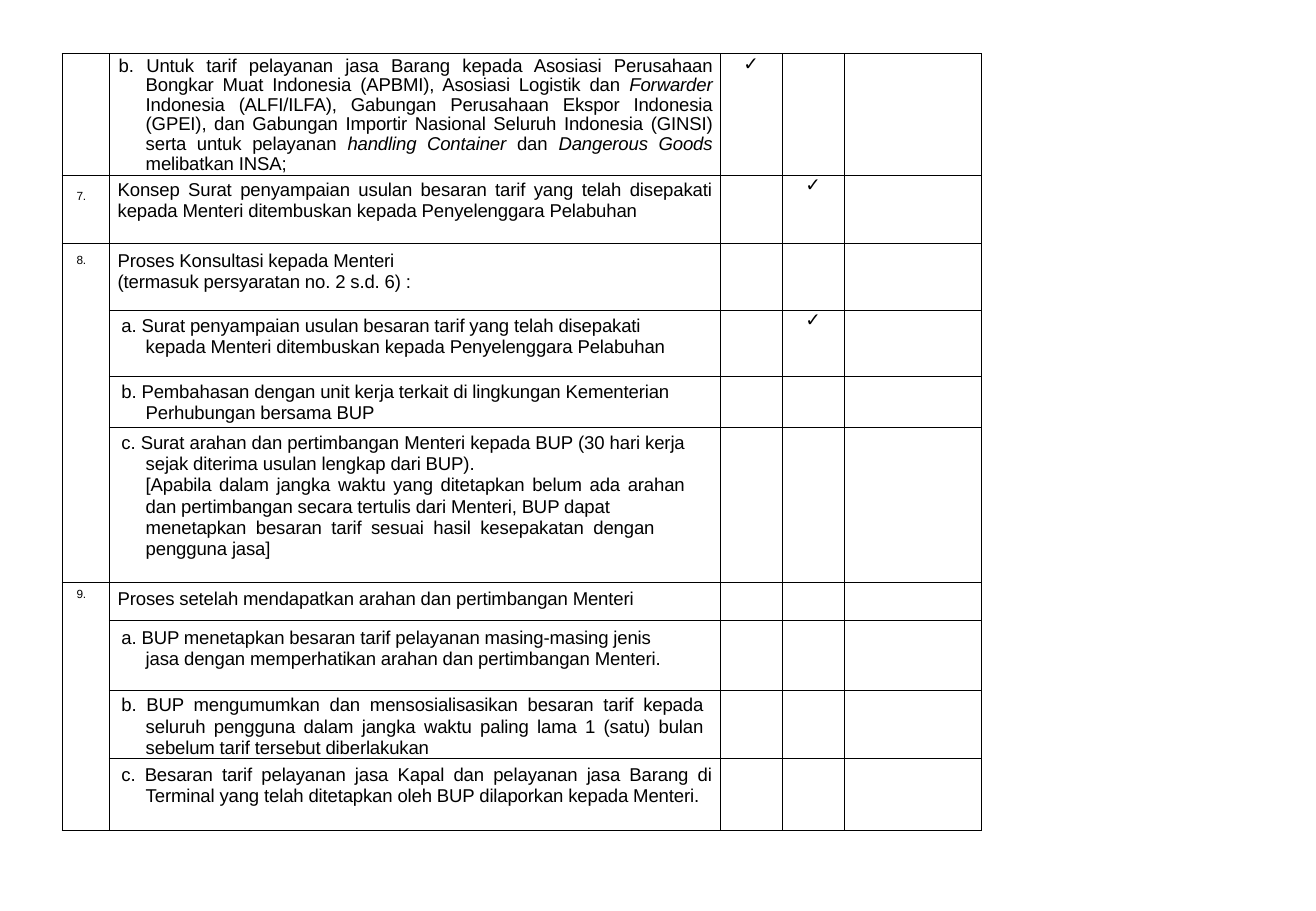
"""Build a slide with a table of steps for setting port tariffs."""
from lxml import etree
from pptx import Presentation
from pptx.dml.color import RGBColor
from pptx.enum import text as tx
from pptx.oxml import ns
from pptx.util import Pt

LEFT, JUST, MID = tx.PP_ALIGN.LEFT, tx.PP_ALIGN.JUSTIFY, tx.PP_ALIGN.CENTER
COLS = [28, 362.2, 36.7, 36.7, 81.4]
TICK = "✓"
PLAIN = dict(left=5, hang=0, right=5, line=Pt(12.7), align=LEFT)
ITEM = dict(PLAIN, left=21.6, hang=-14.4)
REST = dict(ITEM, hang=0, align=JUST)

ROWS = [
    dict(high=72, top=1.8, body=[
        ("b. Untuk tarif pelayanan jasa Barang kepada Asosiasi Perusahaan "
         "Bongkar Muat Indonesia (APBMI), Asosiasi Logistik dan *Forwarder* "
         "Indonesia (ALFI/ILFA), Gabungan Perusahaan Ekspor Indonesia (GPEI), "
         "dan Gabungan Importir Nasional Seluruh Indonesia (GINSI) serta untuk "
         "pelayanan *handling Container* dan *Dangerous Goods* melibatkan INSA;",
         dict(ITEM, hang=-16, right=4.5, line=0.95, align=JUST))], tick=2),
    dict(high=40.3, top=2.2, mark="7.", drop=8.8, body=[
        ("Konsep Surat penyampaian usulan besaran tarif yang telah disepakati "
         "kepada Menteri ditembuskan kepada Penyelenggara Pelabuhan",
         dict(PLAIN, align=JUST))], tick=3),
    dict(high=39.8, top=3.6, mark="8.", drop=6.4, span=4, body=[
        ("Proses Konsultasi kepada Menteri", dict(PLAIN, line=Pt(13))),
        ("(termasuk persyaratan no. 2 s.d. 6) :", dict(PLAIN, line=Pt(13)))]),
    dict(high=39.2, top=2.9, body=[
        ("a. Surat penyampaian usulan besaran tarif yang telah disepakati "
         "kepada Menteri ditembuskan kepada Penyelenggara Pelabuhan",
         dict(ITEM, right=25, line=Pt(12.5)))], tick=3),
    dict(high=30.2, top=2.9, body=[
        ("b. Pembahasan dengan unit kerja terkait di lingkungan Kementerian "
         "Perhubungan bersama BUP", dict(ITEM, line=Pt(12.5)))]),
    dict(high=92.2, top=2.9, body=[
        ("c. Surat arahan dan pertimbangan Menteri kepada BUP (30 hari "
         "kerja sejak diterima usulan lengkap dari BUP).",
         dict(ITEM, right=21, align=JUST)),
        ("[Apabila dalam jangka waktu yang ditetapkan belum ada arahan dan "
         "pertimbangan secara tertulis dari Menteri, BUP dapat",
         dict(REST, right=21, line=Pt(12.5))),
        ("menetapkan besaran tarif sesuai hasil kesepakatan dengan "
         "pengguna jasa]", dict(REST, right=39))]),
    dict(high=22.4, top=3.6, mark="9.", drop=3.2, span=4, body=[
        ("Proses setelah mendapatkan arahan dan pertimbangan Menteri",
         dict(PLAIN, line=1.0))]),
    dict(high=41.7, top=4.3, body=[
        ("a. BUP menetapkan besaran tarif pelayanan masing-masing jenis jasa "
         "dengan memperhatikan arahan dan pertimbangan Menteri.",
         dict(ITEM, right=25, line=Pt(12.5)))]),
    dict(high=40.3, top=2.2, body=[
        ("b. BUP mengumumkan dan mensosialisasikan besaran tarif kepada "
         "seluruh pengguna dalam jangka waktu paling lama 1 (satu) bulan "
         "sebelum tarif tersebut diberlakukan",
         dict(ITEM, right=10, align=JUST))]),
    dict(high=42.6, top=2.9, body=[
        ("c. Besaran tarif pelayanan jasa Kapal dan pelayanan jasa Barang di "
         "Terminal yang telah ditetapkan oleh BUP dilaporkan kepada Menteri.",
         dict(ITEM, align=JUST))]),
]


def color(code):
    """Turn a hex string into a colour."""
    return RGBColor.from_string(code)


def apply(item, form):
    """Set attributes from a dict of format values."""
    for key, value in form.items():
        setattr(item, key, value)


def frame(cell):
    """Clear a cell's margins and fill and rule its four sides."""
    apply(cell, dict(margin_left=0, margin_right=0, margin_top=0, margin_bottom=0))
    props = cell._tc.get_or_add_tcPr()
    for side in "LRTB":
        edge = etree.SubElement(props, ns.qn("a:ln" + side), w=str(Pt(0.5)))
        fill = etree.SubElement(edge, ns.qn("a:solidFill"))
        etree.SubElement(fill, ns.qn("a:srgbClr"), val="000000")
    cell.fill.background()


def write(para, words, style, size=11):
    """Write one paragraph, with italics between asterisks."""
    apply(para, dict(alignment=style["align"], line_spacing=style["line"]))
    props = para._p.get_or_add_pPr()
    for key, name in (("marL", "left"), ("marR", "right"), ("indent", "hang")):
        props.set(key, str(Pt(style[name])))
    for spot, part in enumerate(words.split("*")):
        run = para.add_run()
        run.text = part
        apply(run.font, dict(name="Arial", size=Pt(size), italic=spot % 2 == 1))
        run.font.color.rgb = color("000000")
        run._r.get_or_add_rPr().set("spc", "-10")


def fill_row(table, spot, row):
    """Fill the number, text and tick cells of one row."""
    table.rows[spot].height = Pt(row["high"])
    if "mark" in row:
        cell = table.cell(spot, 0)
        cell.margin_top = Pt(row["drop"])
        write(cell.text_frame.paragraphs[0], row["mark"],
              dict(PLAIN, left=8.6, right=0, line=1.0), 7)
    if "span" in row:
        table.cell(spot, 0).merge(table.cell(spot + row["span"] - 1, 0))
    cell = table.cell(spot, 1)
    cell.margin_top = Pt(row["top"])
    for turn, (words, style) in enumerate(row["body"]):
        block = cell.text_frame
        para = block.add_paragraph() if turn else block.paragraphs[0]
        write(para, words, style)
    if "tick" in row:
        write(table.cell(spot, row["tick"]).text_frame.paragraphs[0], TICK,
              dict(PLAIN, left=0, right=0, line=Pt(12.1), align=MID))


def add_steps(slide, left, top):
    """Place the table of steps with its corner at the given point."""
    high = sum(row["high"] for row in ROWS)
    table = slide.shapes.add_table(len(ROWS), len(COLS), Pt(left), Pt(top),
                                   Pt(sum(COLS)), Pt(high)).table
    apply(table, dict(first_row=False, horz_banding=False))
    for col, wide in zip(table.columns, COLS):
        col.width = Pt(wide)
    for cell in table.iter_cells():
        frame(cell)
    for spot, row in enumerate(ROWS):
        fill_row(table, spot, row)


def main():
    """Build and save the deck."""
    deck = Presentation()
    apply(deck, dict(slide_width=Pt(780), slide_height=Pt(540)))
    add_steps(deck.slides.add_slide(deck.slide_layouts[6]), 36.8, 31.7)
    deck.save("out.pptx")


main()
